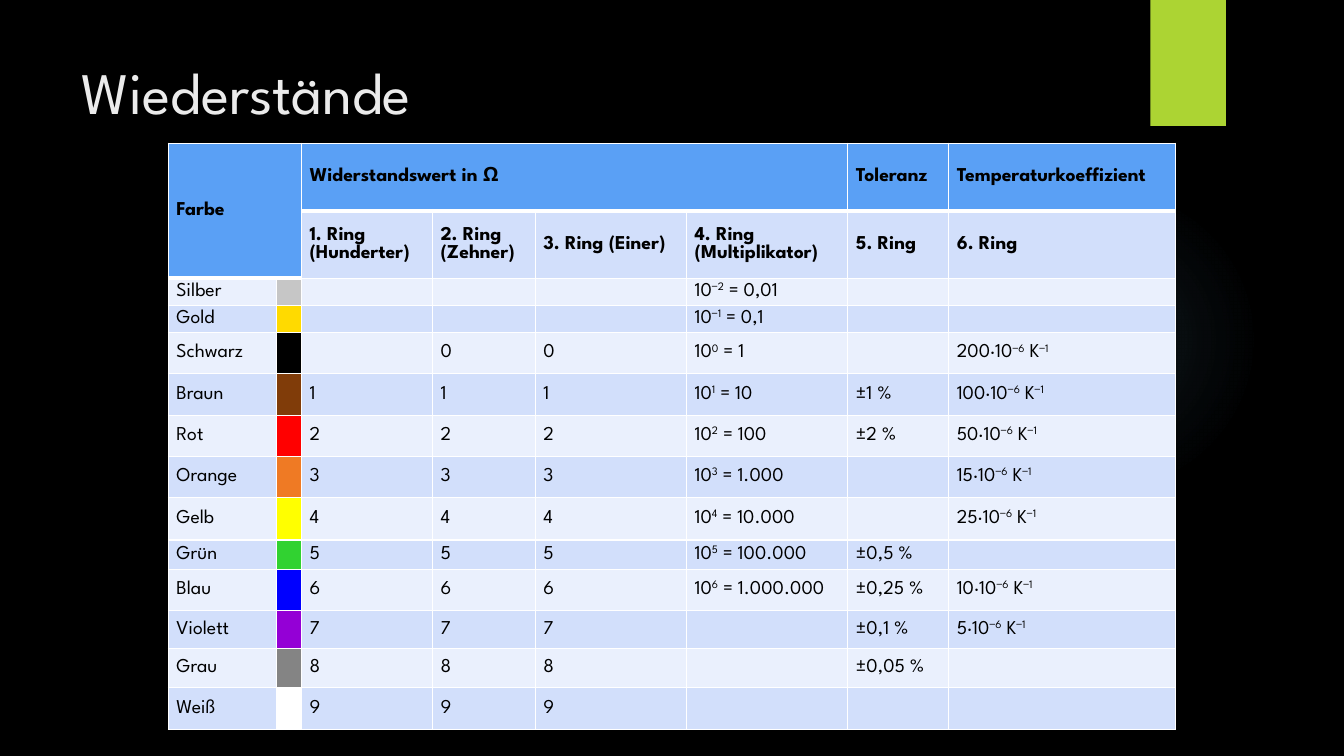
from lxml import etree
from pptx import Presentation
from pptx.dml.color import RGBColor
from pptx.enum import shapes, text
from pptx.oxml import parse_xml
from pptx.oxml.ns import nsdecls, qn
from pptx.util import Inches, Pt

FONT = "League Spartan"
BLACK = RGBColor(0x00, 0x00, 0x00)
TITLE = RGBColor(0xEB, 0xEB, 0xEB)
GREEN = RGBColor(0xAC, 0xD4, 0x33)
HEADER = RGBColor(0x5A, 0xA0, 0xF5)
BAND_DARK = RGBColor(0xD2, 0xDF, 0xFB)
BAND_LIGHT = RGBColor(0xEA, 0xF0, 0xFD)


def write_cell(cell, content, fill, bold):
    """Fill a cell; parts between ^ marks become superscript."""
    cell.fill.solid()
    cell.fill.fore_color.rgb = fill
    cell.vertical_anchor = text.MSO_ANCHOR.MIDDLE
    cell.margin_left = cell.margin_right = Inches(0.08)
    cell.margin_top = cell.margin_bottom = Inches(0.04)
    p = cell.text_frame.paragraphs[0]
    if not content:
        end = etree.SubElement(p._p, qn("a:endParaRPr"), sz="1400")
        etree.SubElement(end, qn("a:latin"), typeface=FONT)
    for i, part in enumerate(content.split("^") if content else []):
        for j, line in enumerate(part.split("\n")):
            if j:
                p.add_line_break()
            r = p.add_run()
            r.text = line
            r.font.name, r.font.size, r.font.bold = FONT, Pt(14), bold
            r.font.color.rgb = BLACK
            if i % 2:
                r.font._element.set("baseline", "30000")


def set_borders(cell, top, bottom):
    """White cell borders, widths in points."""
    tcPr = cell._tc.get_or_add_tcPr()
    for i, (side, width) in enumerate((("L", 1), ("R", 1), ("T", top), ("B", bottom))):
        tcPr.insert(i, parse_xml(
            f'<a:ln{side} {nsdecls("a")} w="{Pt(width)}"><a:solidFill>'
            f'<a:srgbClr val="FFFFFF"/></a:solidFill></a:ln{side}>'))


prs = Presentation()
prs.slide_width, prs.slide_height = Inches(13.33), Inches(7.5)
s = prs.slides.add_slide(prs.slide_layouts[5])
s.background.fill.solid()
s.background.fill.fore_color.rgb = BLACK

# Faint glow behind the table
glow = s.shapes.add_shape(shapes.MSO_SHAPE.OVAL, Inches(9.41), Inches(1.83),
                          Inches(3.08), Inches(3.08))
glow.shadow.inherit = False
glow.line.fill.background()
stops = "".join(
    f'<a:gs pos="{pos}000"><a:srgbClr val="7AC4F0"><a:alpha val="{alpha}000"/></a:srgbClr></a:gs>'
    for pos, alpha in ((0, 7), (36, 6), (69, 0), (100, 0)))
glow._element.spPr.find(qn("a:prstGeom")).addnext(parse_xml(
    f'<a:gradFill {nsdecls("a")}><a:gsLst>{stops}</a:gsLst><a:path path="circle">'
    '<a:fillToRect l="50000" t="50000" r="50000" b="50000"/></a:path></a:gradFill>'))

# Green tab at the top edge
tab = s.shapes.add_shape(shapes.MSO_SHAPE.RECTANGLE, Inches(11.41), 0,
                         Inches(0.75), Inches(1.25))
tab.shadow.inherit = False
tab.fill.solid()
tab.fill.fore_color.rgb = GREEN
tab.line.fill.background()

# Title
title = s.shapes.title
title.left, title.top = Inches(0.71), Inches(0.5)
title.width, title.height = Inches(10.29), Inches(1.53)
tf = title.text_frame
tf.text = "Wiederstände"
tf.vertical_anchor = text.MSO_ANCHOR.TOP
p = tf.paragraphs[0]
p.alignment = text.PP_ALIGN.LEFT
r = p.runs[0]
r.font.name, r.font.size = FONT, Pt(42)
r.font.color.rgb = TITLE

# Table content: name, colour, row height, multiplier, tolerance, coefficient
headers = [
    ["Farbe", "", "Widerstandswert in Ω", "", "", "", "Toleranz", "Temperaturkoeffizient"],
    ["", "", "1. Ring\n(Hunderter)", "2. Ring\n(Zehner)", "3. Ring (Einer)",
     "4. Ring\n(Multiplikator)", "5. Ring", "6. Ring"],
]
colours = [
    ("Silber", "C6C6C6", 0.27, "0,01", "", ""),
    ("Gold", "FFDA00", 0.27, "0,1", "", ""),
    ("Schwarz", "000000", 0.41, "1", "", "200"),
    ("Braun", "803C09", 0.41, "10", "1", "100"),
    ("Rot", "FF0000", 0.41, "100", "2", "50"),
    ("Orange", "EF7A24", 0.41, "1.000", "", "15"),
    ("Gelb", "FFFF00", 0.42, "10.000", "", "25"),
    ("Grün", "31D231", 0.29, "100.000", "0,5", ""),
    ("Blau", "0000FF", 0.41, "1.000.000", "0,25", "10"),
    ("Violett", "9400D6", 0.38, "", "0,1", "5"),
    ("Grau", "848484", 0.38, "", "0,05", ""),
    ("Weiß", "FFFFFF", 0.42, "", "", ""),
]
widths = [1.07, 0.25, 1.3, 1.02, 1.5, 1.6, 1, 2.25]
heights = [0.67, 0.67] + [row[2] for row in colours]

tbl = s.shapes.add_table(len(heights), len(widths), Inches(1.67), Inches(1.42),
                         Inches(10), Inches(5.92)).table
for column, width in zip(tbl.columns, widths):
    column.width = Inches(width)
for row, height in zip(tbl.rows, heights):
    row.height = Inches(height)

# Header rows
for y, labels in enumerate(headers):
    for x, label in enumerate(labels):
        is_header = y == 0 or x < 2
        write_cell(tbl.cell(y, x), label, HEADER if is_header else BAND_DARK, True)
        set_borders(tbl.cell(y, x), 3 if y else 1, 3 if is_header else 1)
tbl.cell(0, 0).merge(tbl.cell(1, 1))
tbl.cell(0, 2).merge(tbl.cell(0, 5))

# One row per colour; the digit is also the power of ten
for digit, (name, swatch, _, factor, tolerance, coefficient) in enumerate(colours, -2):
    ring = str(digit) if digit >= 0 else ""
    power = str(digit).replace("-", "−")
    values = [
        name, "", ring if digit else "", ring, ring,
        f"10^{power}^ = {factor}" if factor else "",
        f"±{tolerance} %" if tolerance else "",
        f"{coefficient}·10^−6^ K^−1^" if coefficient else "",
    ]
    band = BAND_DARK if digit % 2 else BAND_LIGHT
    for x, value in enumerate(values):
        cell = tbl.cell(digit + 4, x)
        write_cell(cell, value, RGBColor.from_string(swatch) if x == 1 else band, False)
        set_borders(cell, 3 if digit == -2 and x < 2 else 1, 1)

prs.save("out.pptx")
